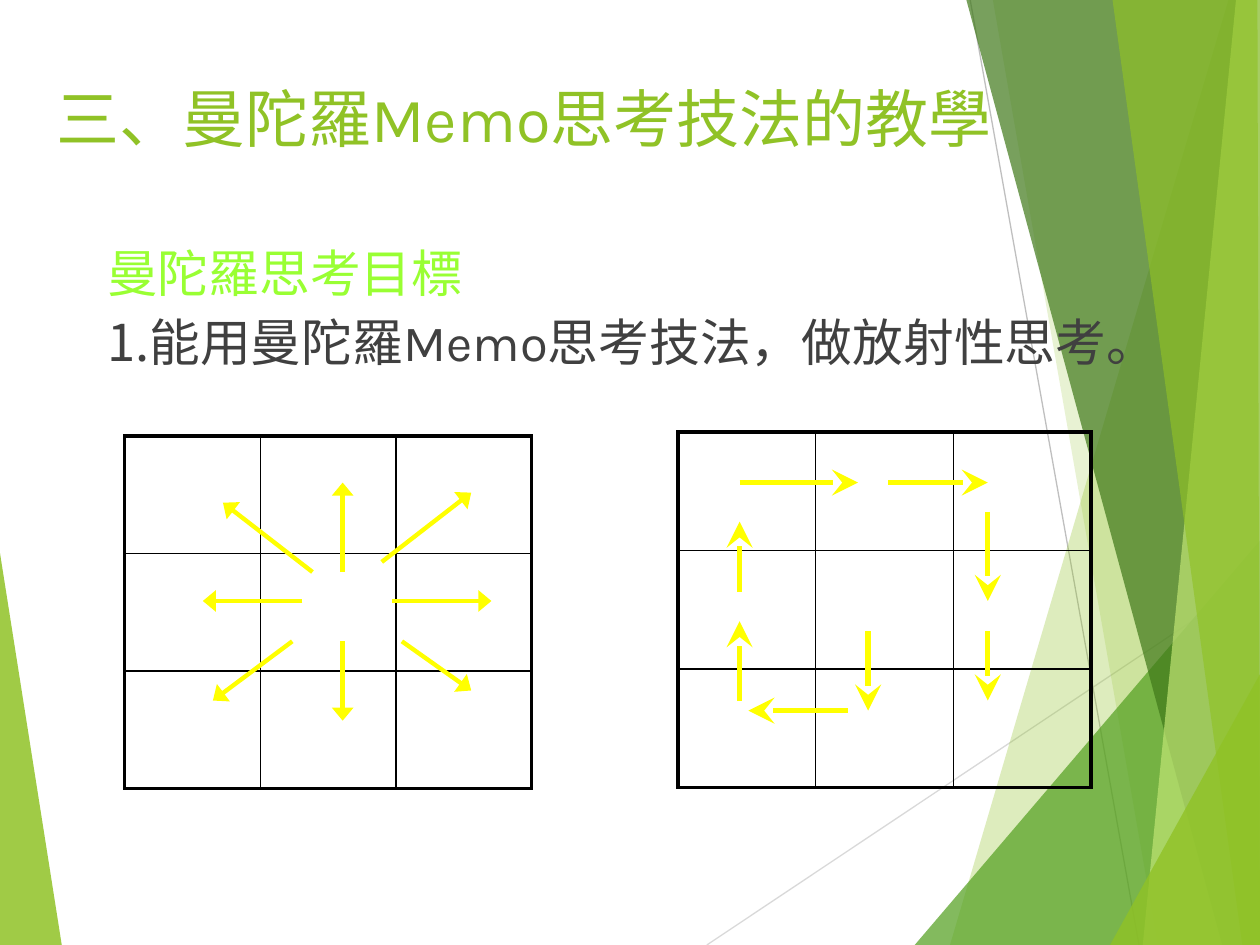
from lxml import etree
from pptx import Presentation
from pptx.dml.color import RGBColor
from pptx.enum import shapes, text
from pptx.oxml.ns import qn
from pptx.util import Inches, Pt

# Content
TITLE = "三、曼陀羅Memo思考技法的教學"
BODY = [
    [("曼陀羅思考目標", "accent", "cjk")],
    [("1.能用曼陀羅", "text", "cjk"), ("Memo", "text", "latin"),
     ("思考技法，做放射性思考。", "text", "cjk")],
]
GRID_SIZE = 3
GRIDS = [(5.38, 3.43, 3.28, 2.82), (0.99, 3.46, 3.23, 2.8)]  # left, top, width, height

# Arrows as (start x, start y, tip x, tip y)
RADIAL = [
    (2.72, 4.54, 2.72, 3.83), (2.48, 4.54, 1.77, 3.99), (2.4, 4.77, 1.61, 4.77),
    (2.32, 5.09, 1.69, 5.56), (2.72, 5.09, 2.72, 5.72), (3.19, 5.09, 3.74, 5.48),
    (3.11, 4.77, 3.9, 4.77), (3.03, 4.46, 3.74, 3.91),
]
CLOCKWISE = [
    (6.89, 5.01, 6.89, 5.64), (6.73, 5.64, 5.94, 5.64), (5.87, 5.56, 5.87, 4.93),
    (5.87, 4.7, 5.87, 4.14), (5.87, 3.83, 6.81, 3.83), (7.05, 3.83, 7.84, 3.83),
    (7.84, 4.06, 7.84, 4.77), (7.84, 5.01, 7.84, 5.56),
]

# Background facets: points, colour, opacity in percent
LEFT_FACET = ([(0, 4.39), (0.49, 7.5), (0, 7.5)], "lime", 85)
RIGHT_FACETS = [
    ([(9.75, 0), (7.54, 7.5), (10, 7.5), (10, 0)], "lime", 30),
    ([(7.88, 0), (9.19, 7.5), (10, 7.5), (10, 0)], "lime", 20),
    ([(7.26, 7.5), (10, 4.29), (10, 7.5)], "green", 72),
    ([(7.67, 0), (9.7, 7.5), (10, 7.5), (10, 0)], "forest", 70),
    ([(9.81, 0), (9.07, 7.5), (10, 7.5), (10, 0)], "pale", 70),
    ([(8.83, 0), (9.86, 7.5), (10, 7.5), (9.98, 0)], "lime", 65),
    ([(8.81, 7.5), (10, 5.35), (10, 7.5)], "lime", 80),
]
HAIRLINES = [((5.61, 7.5, 10, 4.57), "silver"), ((7.7, 0, 9.04, 7.5), "gray")]

THEME = {
    "color": {"lime": "90C226", "green": "54A021", "forest": "3F7819", "pale": "C0E474",
              "silver": "D9D9D9", "gray": "BFBFBF", "accent": "99FF33", "text": "404040",
              "arrow": "FFFF00", "border": "000000"},
    "font": {"latin": "Karla", "cjk": "Noto Sans CJK SC"},
    "size": {"title": 36, "body": 29},
    "border": {"outer": 2.25, "inner": 1},
}


def rgb(name):
    return RGBColor.from_string(THEME["color"][name])


def add_text(p, content, size="body", color="text", font="cjk"):
    r = p.add_run()
    r.text = content
    r.font.size = Pt(THEME["size"][size])
    r.font.color.rgb = rgb(color)
    r.font.name = THEME["font"][font]
    ea = etree.SubElement(r.font._element, qn("a:ea"))
    ea.set("typeface", THEME["font"]["cjk"])


def add_facet(slide, points, color, opacity):
    pts = [(Inches(x), Inches(y)) for x, y in points]
    builder = slide.shapes.build_freeform(*pts[0], scale=1.0)
    builder.add_line_segments(pts[1:], close=True)
    sp = builder.convert_to_shape()
    sp.shadow.inherit = False
    sp.line.fill.background()
    sp.fill.solid()
    sp.fill.fore_color.rgb = rgb(color)
    clr = sp._element.spPr.find(qn("a:solidFill")).find(qn("a:srgbClr"))
    etree.SubElement(clr, qn("a:alpha")).set("val", str(opacity * 1000))


def add_line(slide, ends, color, width, head=None, length="med"):
    line = slide.shapes.add_connector(shapes.MSO_CONNECTOR.STRAIGHT, *map(Inches, ends))
    line.line.color.rgb = rgb(color)
    line.line.width = Pt(width)
    if head:
        tail = etree.SubElement(line.line._get_or_add_ln(), qn("a:tailEnd"))
        for key, value in (("type", head), ("w", "lg"), ("len", length)):
            tail.set(key, value)
    etree.SubElement(line._element.spPr, qn("a:effectLst"))


def add_grid(slide, box):
    table = slide.shapes.add_table(GRID_SIZE, GRID_SIZE, *map(Inches, box)).table
    table.first_row = table.horz_banding = False
    last = GRID_SIZE - 1
    for row in range(GRID_SIZE):
        for col in range(GRID_SIZE):
            cell = table.cell(row, col)
            tc_pr = cell._tc.get_or_add_tcPr()
            sides = {"L": col == 0, "R": col == last, "T": row == 0, "B": row == last}
            for side, outer in sides.items():
                width = THEME["border"]["outer" if outer else "inner"]
                ln = etree.SubElement(tc_pr, qn("a:ln" + side), w=str(Pt(width)))
                fill = etree.SubElement(ln, qn("a:solidFill"))
                etree.SubElement(fill, qn("a:srgbClr"), val=THEME["color"]["border"])
            cell.fill.background()


def place(slide, sp, box):
    """Position a placeholder and bring it in front of everything drawn so far."""
    sp.left, sp.top, sp.width, sp.height = map(Inches, box)
    slide.shapes._spTree.append(sp._element)
    tf = sp.text_frame
    tf.word_wrap = True
    tf.auto_size = text.MSO_AUTO_SIZE.NONE
    tf.vertical_anchor = text.MSO_ANCHOR.TOP
    return tf


def main():
    prs = Presentation()
    prs.slide_width, prs.slide_height = Inches(10), Inches(7.5)
    slide = prs.slides.add_slide(prs.slide_layouts[1])

    # Background
    add_facet(slide, *LEFT_FACET)
    for ends, color in HAIRLINES:
        add_line(slide, ends, color, 0.75)
    for facet in RIGHT_FACETS:
        add_facet(slide, *facet)

    # Title
    p = place(slide, slide.shapes.title, (0.35, 0.58, 9.37, 1.22)).paragraphs[0]
    p.alignment = text.PP_ALIGN.LEFT
    add_text(p, TITLE, size="title", color="lime", font="latin")

    # Goals
    tf = place(slide, slide.placeholders[1], (0.75, 1.94, 9.25, 1.59))
    for i, runs in enumerate(BODY):
        p = tf.add_paragraph() if i else tf.paragraphs[0]
        p_pr = p._p.get_or_add_pPr()
        p_pr.set("marL", str(Inches(0.38)))
        p_pr.set("indent", str(-Inches(0.38)))
        etree.SubElement(p_pr, qn("a:buNone"))
        p.line_spacing = 0.85
        p.space_before = Pt(10 if i else 0)
        for content, color, font in runs:
            add_text(p, content, color=color, font=font)

    # Mandala grids and their arrows
    for box in GRIDS:
        add_grid(slide, box)
    for ends in RADIAL:
        add_line(slide, ends, "arrow", 2.5, head="triangle")
    for ends in CLOCKWISE:
        add_line(slide, ends, "arrow", 3, head="stealth", length="lg")

    prs.save("out.pptx")


if __name__ == "__main__":
    main()
